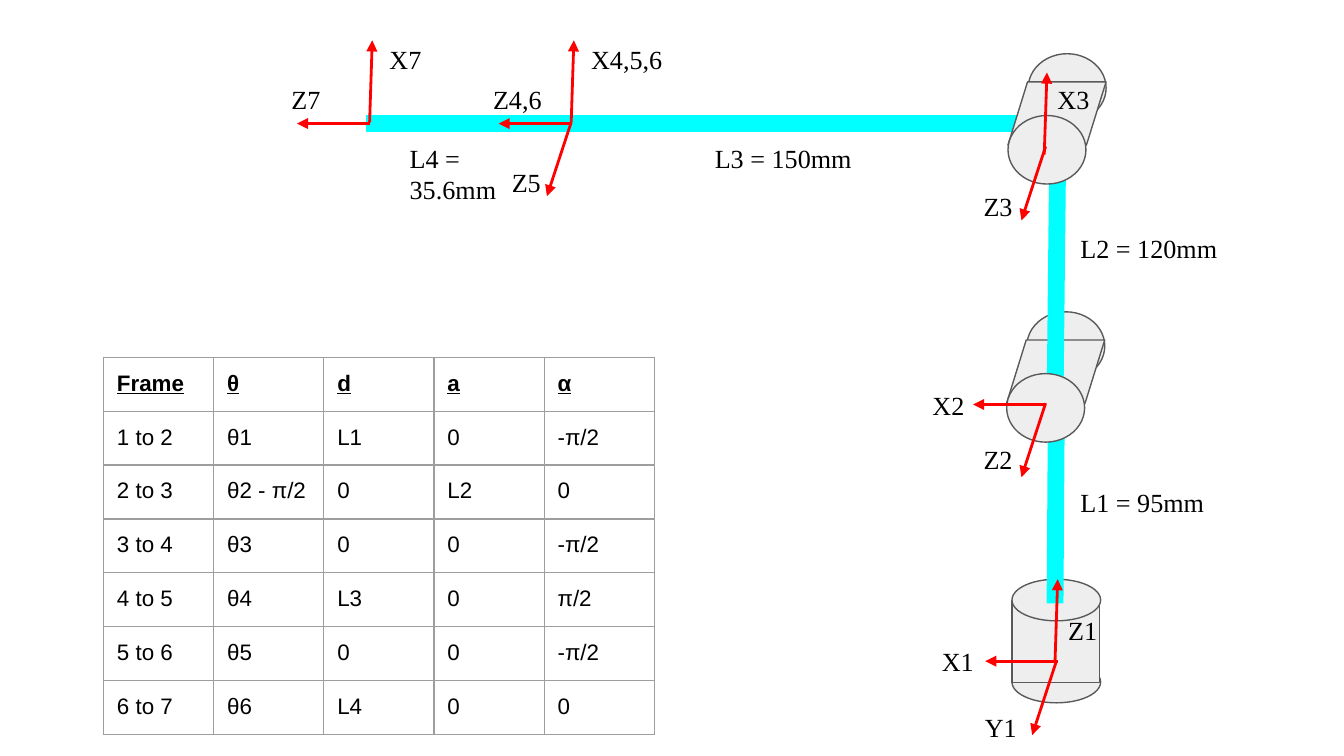
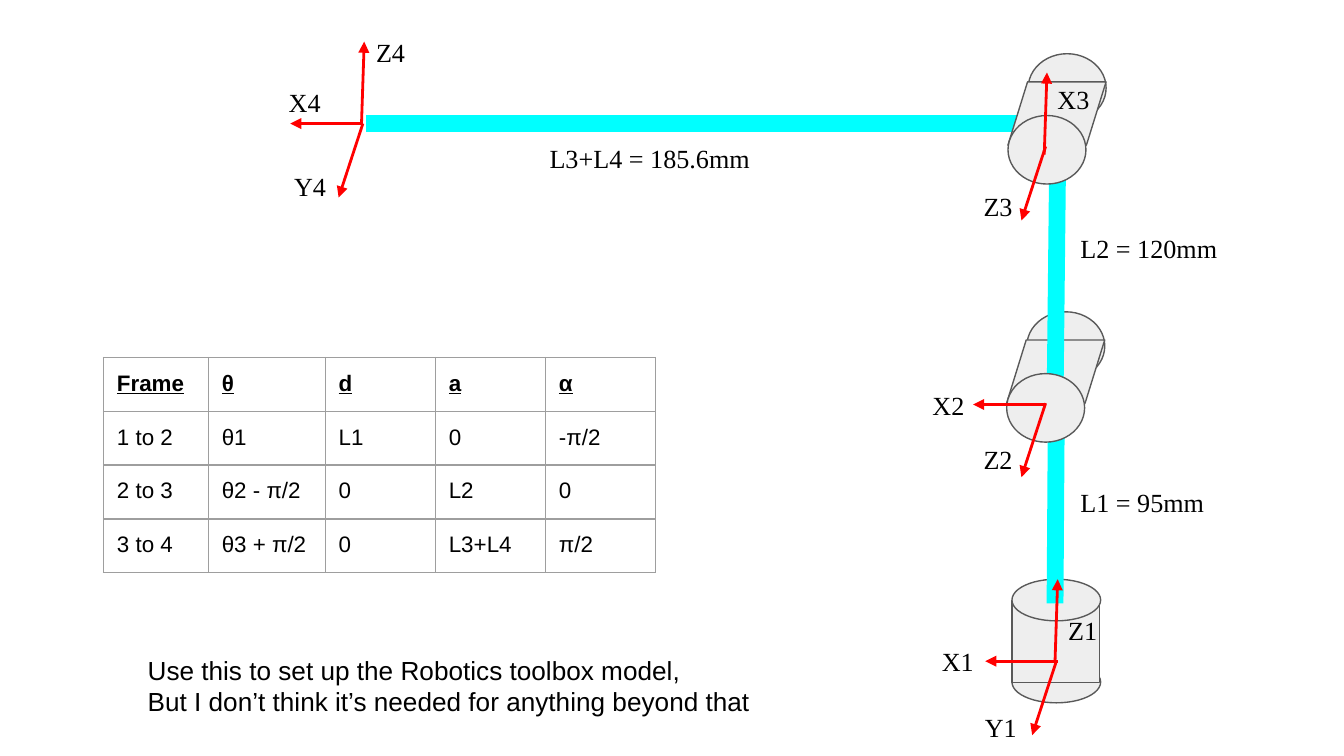
"""Build two slides of robot arm frames with their joint parameter tables."""
import pptx
import pptx.dml.color
import pptx.enum.shapes
import pptx.enum.text
import pptx.oxml
import pptx.oxml.ns
import pptx.util

Inches = pptx.util.Inches
Pt = pptx.util.Pt
RGBColor = pptx.dml.color.RGBColor
Shape = pptx.enum.shapes.MSO_SHAPE

CYAN = RGBColor(0x00, 0xFF, 0xFF)
RED = RGBColor(0xFF, 0x00, 0x00)
BLACK = RGBColor(0x00, 0x00, 0x00)
PALE_GREY = RGBColor(0xEE, 0xEE, 0xEE)
DARK_GREY = RGBColor(0x59, 0x59, 0x59)
GRID_GREY = RGBColor(0x9E, 0x9E, 0x9E)
LABEL_FONT = "Times New Roman"
TABLE_FONT = "Arial"

FOREARM = ((7.64, 0.92), (2.72, 0.92))
BASE_LINK = ((7.85, 4.49), (7.86, 3))
UPPER_LINK = ((7.85, 3), (7.87, 1.14))
BASE_DRUM = [
    (Shape.OVAL, 7.53, 4.92, 0.66, 0.31),
    (Shape.RECTANGLE, 7.53, 4.47, 0.65, 0.61),
    (Shape.OVAL, 7.53, 4.31, 0.66, 0.31),
]
JOINTS = [(7.49, 2.32), (7.5, 0.4)]
JOINT_BACK = [(Shape.OVAL, 0.15, 0, 0.58, 0.51), (Shape.FLOWCHART_DATA, 0, 0.21, 0.73, 0.47)]
JOINT_FRONT = [(Shape.OVAL, 0, 0.46, 0.58, 0.51)]

DIRECTIONS = {"up": (0.02, -0.61), "left": (-0.54, 0), "out": (-0.18, 0.55)}
ARM_AXES = [
    ("up", 7.85, 4.92), ("left", 7.87, 4.92), ("out", 7.86, 4.92),
    ("left", 7.78, 3.01), ("out", 7.78, 3),
    ("up", 7.77, 1.15), ("out", 7.78, 1.09),
]
ARM_LABELS = [
    ("Z1", 7.85, 4.47, 0.5), ("X1", 6.91, 4.7, 0.5), ("Y1", 7.23, 5.19, 0.5),
    ("X2", 6.84, 2.8, 0.5), ("Z2", 7.22, 3.2, 0.5),
    ("X3", 7.77, 0.52, 0.5), ("Z3", 7.22, 1.32, 0.5),
    ("L1 = 95mm", 7.94, 3.52, 1.26), ("L2 = 120mm", 7.94, 1.63, 1.26),
]

HEADER = ("Frame", "θ", "d", "a", "α")
SLIDES = [
    {
        "axes": [
            ("up", 4.25, 0.91), ("left", 4.25, 0.92), ("out", 4.25, 0.91),
            ("up", 2.75, 0.91), ("left", 2.75, 0.92),
        ],
        "labels": [
            ("X4,5,6", 4.3, 0.22, 0.8), ("Z4,6", 3.57, 0.52, 0.65), ("Z5", 3.71, 1.14, 0.5),
            ("X7", 2.8, 0.22, 0.8), ("Z7", 2.07, 0.52, 0.65),
            ("L3 = 150mm", 5.22, 0.96, 1.26), ("L4 = 35.6mm", 2.95, 0.96, 1.26, 0.67),
        ],
        "columns": (0.82, 0.82, 0.82, 0.82, 0.82),
        "rows": [
            HEADER,
            ("1 to 2", "θ1", "L1", "0", "-π/2"),
            ("2 to 3", "θ2 - π/2", "0", "L2", "0"),
            ("3 to 4", "θ3", "0", "0", "-π/2"),
            ("4 to 5", "θ4", "L3", "0", "π/2"),
            ("5 to 6", "θ5", "0", "0", "-π/2"),
            ("6 to 7", "θ6", "L4", "0", "0"),
        ],
        "note": "",
    },
    {
        "axes": [("up", 2.69, 0.92), ("left", 2.7, 0.92), ("out", 2.7, 0.92)],
        "labels": [
            ("Z4", 2.7, 0.17, 0.5), ("X4", 2.05, 0.54, 0.65), ("Y4", 2.09, 1.17, 0.5),
            ("L3+L4 = 185.6mm", 3.99, 0.96, 2.49),
        ],
        "columns": (0.78, 0.87, 0.82, 0.82, 0.82),
        "rows": [
            HEADER,
            ("1 to 2", "θ1", "L1", "0", "-π/2"),
            ("2 to 3", "θ2 - π/2", "0", "L2", "0"),
            ("3 to 4", "θ3 + π/2", "0", "L3+L4", "π/2"),
        ],
        "note": "Use this to set up the Robotics toolbox model,\n"
                "But I don’t think it’s needed for anything beyond that",
    },
]


def add_element(parent, tag, **attributes):
    element = pptx.oxml.parse_xml(f"<{tag} {pptx.oxml.ns.nsdecls('a')}/>")
    for name, value in attributes.items():
        element.set(name, str(value))
    parent.append(element)
    return element


def add_line(page, start, end, color, width, arrow=False):
    points = [Inches(value) for value in (*start, *end)]
    line = page.shapes.add_connector(pptx.enum.shapes.MSO_CONNECTOR.STRAIGHT, *points)
    line.line.color.rgb = color
    line.line.width = Pt(width)
    if arrow:
        add_element(line.line._get_or_add_ln(), "a:tailEnd", type="triangle")
    add_element(line._element.spPr, "a:effectLst")


def add_solids(page, solids, left=0, top=0):
    for kind, x, y, width, height in solids:
        solid = page.shapes.add_shape(
            kind, Inches(left + x), Inches(top + y), Inches(width), Inches(height))
        solid.shadow.inherit = False
        solid.fill.solid()
        solid.fill.fore_color.rgb = PALE_GREY
        solid.line.color.rgb = DARK_GREY
        solid.line.width = Pt(0.75)


def format_text(frame, font, size, bold=False):
    for para in frame.paragraphs:
        for span in para.runs:
            span.font.name = font
            span.font.size = Pt(size)
            span.font.color.rgb = BLACK
            span.font.bold = bold
            span.font.underline = bold


def add_label(page, text, left, top, width, height=0.44, font=LABEL_FONT):
    box = page.shapes.add_textbox(Inches(left), Inches(top), Inches(width), Inches(height))
    frame = box.text_frame
    frame.word_wrap = True
    frame.auto_size = pptx.enum.text.MSO_AUTO_SIZE.SHAPE_TO_FIT_TEXT
    frame.margin_left = frame.margin_right = Inches(0.1)
    frame.margin_top = frame.margin_bottom = Inches(0.1)
    frame.text = text
    format_text(frame, font, 14)


def format_cell(cell, text, is_header):
    cell.margin_left = cell.margin_right = Inches(0.1)
    cell.margin_top = cell.margin_bottom = Inches(0.1)
    cell.text_frame.text = text
    format_text(cell.text_frame, TABLE_FONT, 12, is_header)
    properties = cell._tc.get_or_add_tcPr()
    for side in ("lnL", "lnR", "lnT", "lnB"):
        border = add_element(properties, f"a:{side}", w=Pt(0.75))
        add_element(add_element(border, "a:solidFill"), "a:srgbClr", val=GRID_GREY)
    cell.fill.background()


def add_parameter_table(page, rows, columns):
    row_height = Inches(0.4)
    holder = page.shapes.add_table(
        len(rows), len(columns), Inches(0.77), Inches(2.66),
        Inches(sum(columns)), row_height * len(rows))
    table = holder.table
    table.first_row = False
    table.horz_banding = False
    for column, width in zip(table.columns, columns):
        column.width = Inches(width)
    for row_index, row in enumerate(rows):
        table.rows[row_index].height = row_height
        for column_index, text in enumerate(row):
            format_cell(table.cell(row_index, column_index), text, row_index == 0)


def add_arm(page):
    add_line(page, *FOREARM, CYAN, 9)
    add_solids(page, BASE_DRUM)
    for left, top in JOINTS:
        add_solids(page, JOINT_BACK, left, top)
    for link in (BASE_LINK, UPPER_LINK):
        add_line(page, *link, CYAN, 9)
    for left, top in JOINTS:
        add_solids(page, JOINT_FRONT, left, top)


def add_slide(deck, content):
    page = deck.slides.add_slide(deck.slide_layouts[6])
    add_arm(page)
    for direction, x, y in ARM_AXES + content["axes"]:
        across, down = DIRECTIONS[direction]
        add_line(page, (x, y), (x + across, y + down), RED, 1.5, arrow=True)
    for label in ARM_LABELS + content["labels"]:
        add_label(page, *label)
    add_parameter_table(page, content["rows"], content["columns"])
    if content["note"]:
        add_label(page, content["note"], 1, 4.77, 6.29, 0.67, TABLE_FONT)


def main():
    deck = pptx.Presentation()
    deck.slide_width = Inches(10)
    deck.slide_height = deck.slide_width * 9 // 16
    for content in SLIDES:
        add_slide(deck, content)
    deck.save("out.pptx")


if __name__ == "__main__":
    main()
